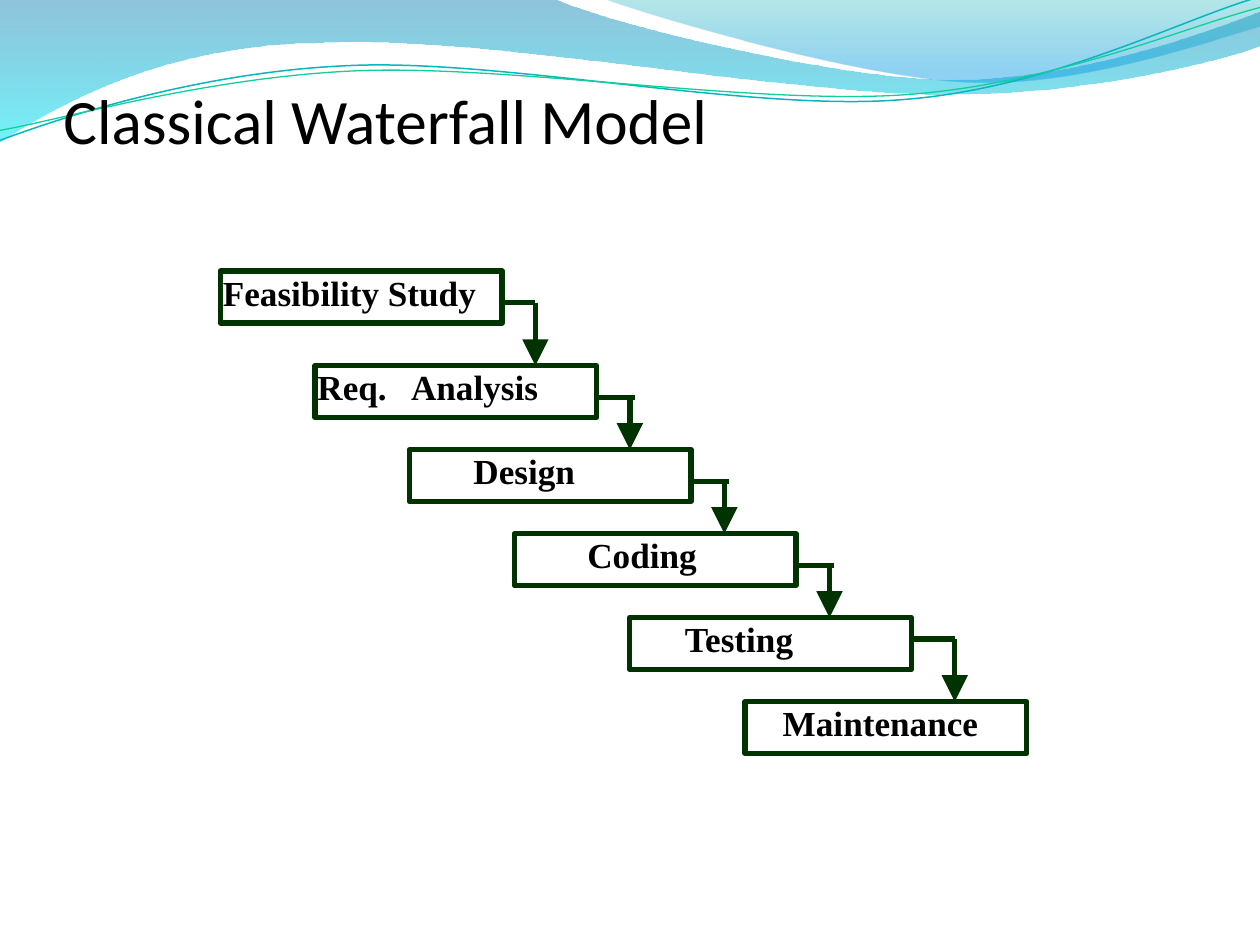
from lxml.etree import SubElement as Sub
from pptx import Presentation as Deck
from pptx.dml.color import RGBColor as RGB
from pptx.enum.shapes import MSO_CONNECTOR as Conn, MSO_SHAPE as Form
from pptx.enum.text import MSO_ANCHOR as Anchor
from pptx.oxml.ns import qn
from pptx.util import Pt

WIDE, HIGH = 717.1, 537.8
HUES = {
    "ink": "000000", "edge": "003300",
    "deep": "0079AD", "aqua": "00E9F7", "teal": "00ABB4", "sky": "0099E4",
    "cyan": "09B6BE", "mint": "10CF9B",
}
# Each outline: start point, then parts of one point (line) or three (curve).
BAND = [(0, 0), [(315.4, -0.7)],
        [(341.3, 12.2), (475.9, 45.4), (543.6, 45.4)],
        [(612, 45.4), (686.9, 18.7), (717.1, 6.5)], [(717.8, 25.9)],
        [(704.9, 31.7), (623.5, 54.7), (535, 54)],
        [(445.7, 54), (273.6, 20.2), (184.3, 24.5)],
        [(92.9, 25.2), (33.1, 59.8), (-0.7, 81.4)], [(0, 0)]]
CREST = [(343.4, -0.7), [(365, 7.9), (488.9, 44.6), (551.5, 46.8)],
         [(613.4, 49.7), (689, 23), (717.1, 15.1)], [(717.1, 0)],
         [(343.4, -0.7)]]
UPPER = [(0, 79.9), [(34.6, 67), (113, 41), (198, 37.4)],
         [(283.7, 33.1), (424.8, 63.4), (511.2, 56.9)],
         [(596.9, 51.1), (672.5, 10.8), (715.7, -1.4)]]
LOWER = [(0, 74.2), [(33.8, 68.4), (117.4, 43.9), (203, 40.3)],
         [(288.7, 36.7), (428.4, 59.8), (514.1, 54)],
         [(599.8, 48.2), (674.6, 15.1), (717.1, 4.3)]]
# Step: label, text indent, shift to the next step (right, down).
STEPS = [("Feasibility Study", 0, 53.8, 53.8),
         ("Req.\tAnalysis", 0, 53.8, 47.8), ("Design", 35, 59.8, 47.8),
         ("Coding", 40, 65.6, 47.8), ("Testing", 30, 65.6, 47.8),
         ("Maintenance", 20, 0, 0)]
# Elbow, relative to its step: line start, line end, turn, height.
MID = (161.3, 182, 179.3, 18)
ELBOWS = [(158.4, 179.3, 179.3, 18), MID, MID, MID, (161.3, 185, 185, 12.2)]


def tint(name):
    """Return the named colour."""
    return RGB.from_string(HUES[name])


def write(shape, text, size, font, bold=False, anchor=Anchor.TOP,
          indent=0, space=1.0, tab=None):
    """Put one formatted paragraph into a shape."""
    frame = shape.text_frame
    frame.word_wrap = True
    frame.vertical_anchor = anchor
    frame.margin_left = frame.margin_right = Pt(1.44)
    frame.margin_top = frame.margin_bottom = Pt(3.6)
    para = frame.paragraphs[0]
    para.line_spacing = space
    props = para._p.get_or_add_pPr()
    props.set("algn", "l")
    props.set("marL", str(Pt(indent)))
    if tab:
        stops = Sub(props, qn("a:tabLst"))
        Sub(stops, qn("a:tab"), pos=str(Pt(tab)), algn="l")
    run = para.add_run()
    run.text = text
    run.font.size, run.font.name, run.font.bold = Pt(size), font, bold
    run.font.color.rgb = tint("ink")


def bend(shape, parts):
    """Merge the three segments of each curve into one cubic."""
    route = next(shape._element.spPr.iter(qn("a:path")))
    legs = iter(list(route)[1:])
    for part in parts:
        leg = next(legs)
        if len(part) == 3:
            leg.tag = qn("a:cubicBezTo")
            for _ in part[1:]:
                extra = next(legs)
                leg.append(extra[0])
                route.remove(extra)


def draw(slide, parts, left, top, closed):
    """Draw an outline offset by the corner of its box."""
    first, *rest = parts
    dots = [(Pt(left + x), Pt(top + y)) for x, y in [first, *sum(rest, [])]]
    pen = slide.shapes.build_freeform(*dots[0], scale=1)
    pen.add_line_segments(dots[1:], close=closed)
    shape = pen.convert_to_shape()
    shape.shadow.inherit = False
    bend(shape, rest)
    return shape


def waves(slide, left, top):
    """Draw the shaded waves and thin swells along the top."""
    fades = [(BAND, [("deep", 0, 44), ("aqua", 1, 55)]),
             (CREST, [("teal", 0, 29), ("sky", 0.8, 44)])]
    for parts, stops in fades:
        shape = draw(slide, parts, left, top, True)
        shape.line.fill.background()
        shape.fill.gradient()
        shape.fill.gradient_angle = 270
        for stop, (name, spot, _) in zip(shape.fill.gradient_stops, stops):
            stop.color.rgb, stop.position = tint(name), spot
        tones = shape._element.spPr.iter(qn("a:srgbClr"))
        for tone, (_, _, alpha) in zip(list(tones), stops):
            Sub(tone, qn("a:alpha"), val=str(alpha * 1000))
    for parts, name, width in [(UPPER, "cyan", 0.85), (LOWER, "mint", 0.75)]:
        shape = draw(slide, parts, left, top, False)
        shape.fill.background()
        shape.line.color.rgb, shape.line.width = tint(name), Pt(width)


def title(slide, left, top, width, height):
    """Place the slide title in its box."""
    box = slide.shapes.add_textbox(Pt(left), Pt(top), Pt(width), Pt(height))
    write(box, "Classical Waterfall Model", 36, "Calibri",
          anchor=Anchor.MIDDLE)


def link(slide, start, end, head=False):
    """Draw a straight line, with an arrowhead if asked."""
    line = slide.shapes.add_connector(
        Conn.STRAIGHT, *(Pt(v) for v in (*start, *end)))
    line.line.color.rgb, line.line.width = tint("edge"), Pt(3)
    if head:
        Sub(line.line._get_or_add_ln(), qn("a:tailEnd"),
            type="triangle", w="lg", len="lg")
    Sub(line._element.spPr, qn("a:effectLst"))


def step(slide, left, top, label, indent, width=160.3, height=29.5):
    """Draw one labelled box of the waterfall."""
    box = slide.shapes.add_shape(Form.ROUNDED_RECTANGLE, Pt(left), Pt(top),
                                 Pt(width), Pt(height))
    box.adjustments[0] = 0
    box.shadow.inherit = False
    box.fill.background()
    box.line.color.rgb, box.line.width = tint("edge"), Pt(3)
    write(box, label, 20, "Times New Roman", bold=True, indent=indent,
          space=0.85, tab=53.3 if "\t" in label else None)


def falls(slide, left, top):
    """Draw the steps downwards from a corner, then the elbows."""
    spots = []
    for label, indent, right, down in STEPS:
        step(slide, left, top, label, indent)
        spots.append((left, top))
        left, top = left + right, top + down
    for (x, y), (_, low), elbow in zip(spots, spots[1:], ELBOWS):
        start, end, turn, height = elbow
        link(slide, (x + start, y + height), (x + end, y + height))
        link(slide, (x + turn, y + height), (x + turn, low), head=True)


def main():
    """Build and save the slide."""
    deck = Deck()
    deck.slide_width, deck.slide_height = Pt(WIDE), Pt(HIGH)
    slide = deck.slides.add_slide(deck.slide_layouts[6])
    waves(slide, 0, 0)
    title(slide, 34.6, 23, 609, 89.3)
    falls(slide, 125.4, 154.3)
    deck.save("out.pptx")


main()
